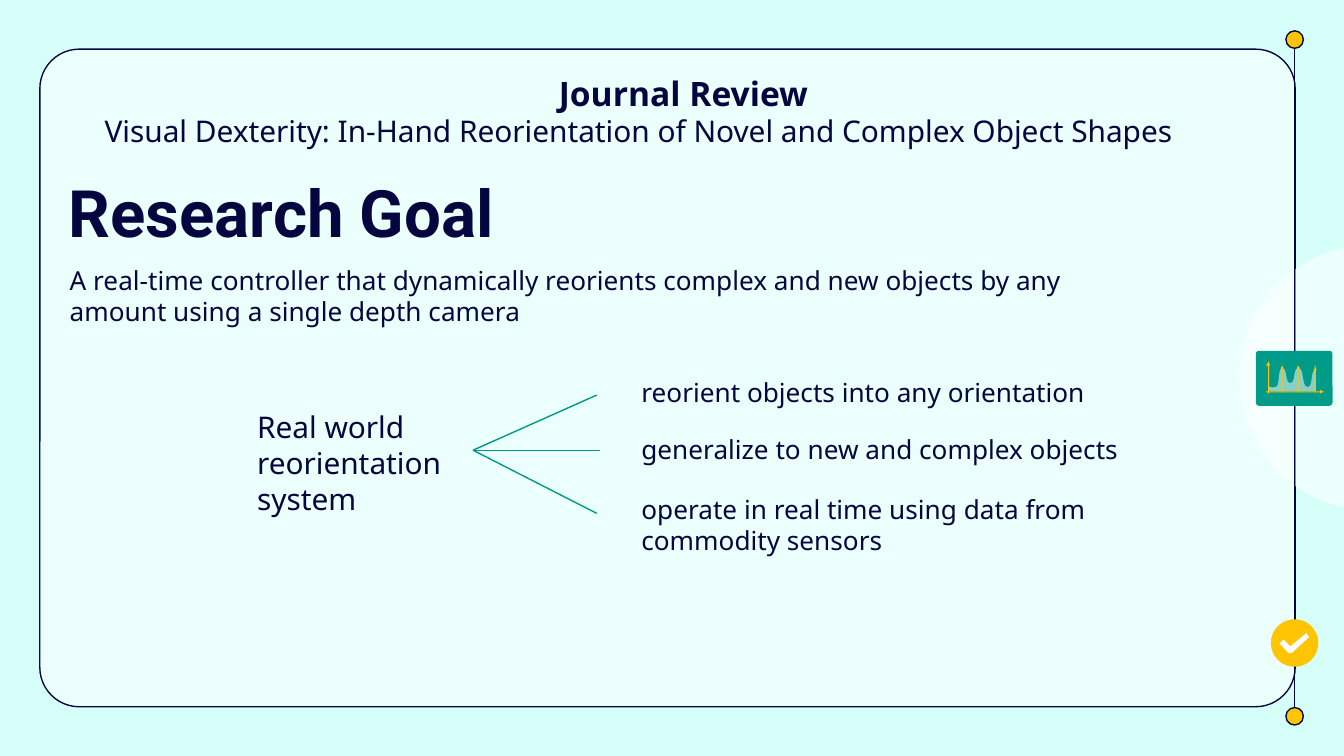
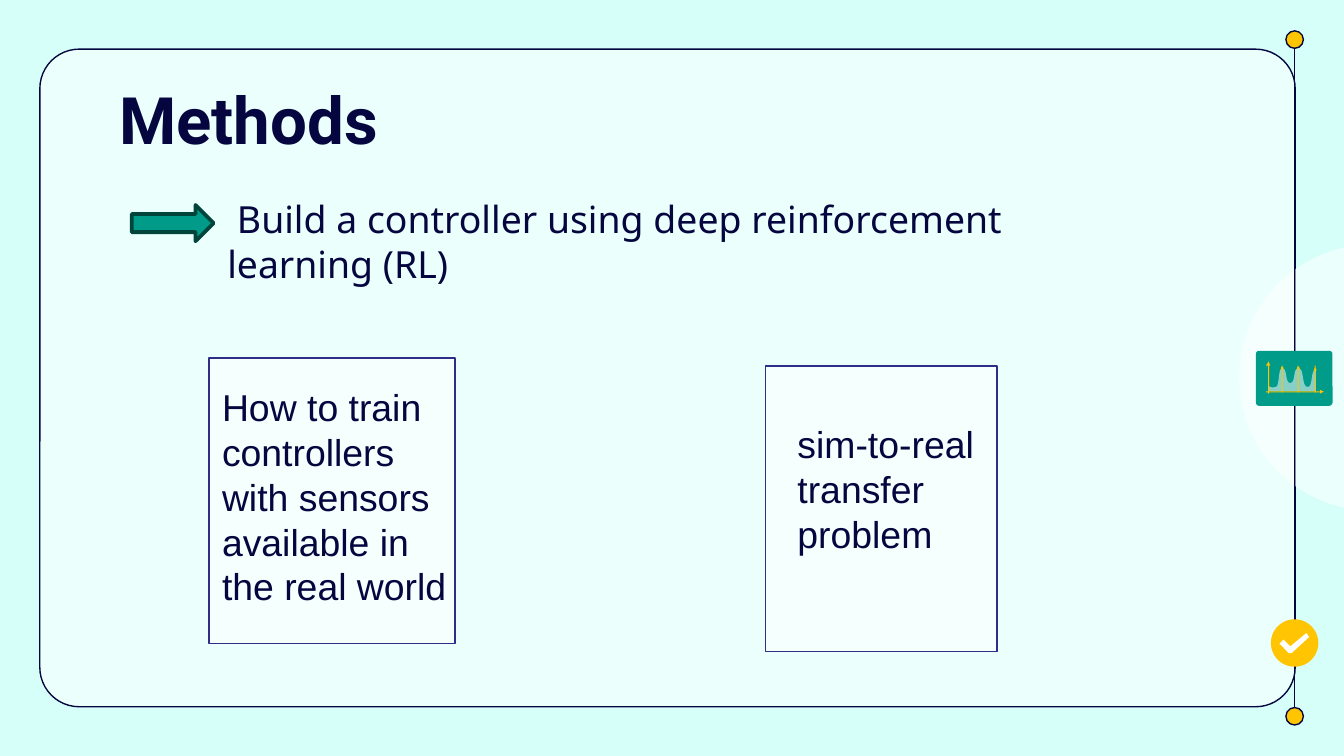
"""Builds two slides on a dexterous reorientation study, over one shared frame."""
import pptx
import pptx.dml.color
import pptx.enum.shapes
import pptx.enum.text
import pptx.oxml
import pptx.oxml.ns
import pptx.util


class Theme:
    back = "D6FFF9"
    white = "FFFFFF"
    ink = "05063F"
    gold = "FFC402"
    teal = "009B89"
    ray = "009886"
    edge = "2E2E88"
    dark = "00443C"
    clear = 53
    thin = 0.75
    thick = 2
    head = {"name": "Roboto", "size": pptx.util.Pt(35), "bold": True}
    label = {"name": "Noto Sans", "size": pptx.util.Pt(18), "bold": True}
    lead = {"name": "Noto Sans", "size": pptx.util.Pt(20)}
    text = {"name": "Noto Sans", "size": pptx.util.Pt(16)}
    small = {"name": "Noto Sans", "size": pptx.util.Pt(14)}
    plain = {"name": "Arial", "size": pptx.util.Pt(20)}


KIND = pptx.enum.shapes.MSO_SHAPE
ALIGN = pptx.enum.text.PP_ALIGN
RGB = pptx.dml.color.RGBColor.from_string
COLS, ROWS = 100, 56.25
CELL = pptx.util.Inches(0.1)


def paint(shape, fill=None, line=None, width=Theme.thin, alpha=None):
    props = shape.element.spPr
    if fill:
        shape.fill.solid()
        shape.fill.fore_color.rgb = RGB(fill)
    if alpha:
        tint = props.find(".//" + pptx.oxml.ns.qn("a:srgbClr"))
        node = pptx.oxml.parse_xml(
            f'<a:alpha {pptx.oxml.ns.nsdecls("a")} val="{alpha * 1000}"/>')
        tint.append(node)
    if line:
        shape.line.color.rgb = RGB(line)
        shape.line.width = pptx.util.Pt(width)
    else:
        shape.line.fill.background()
    props.append(pptx.oxml.parse_xml(f'<a:effectLst {pptx.oxml.ns.nsdecls("a")}/>'))


def write(slide, place, paras, inset=1):
    frame = slide.shapes.add_textbox(*[round(n * CELL) for n in place]).text_frame
    form = {"word_wrap": True, "margin_left": CELL, "margin_right": CELL,
            "margin_top": round(inset * CELL), "margin_bottom": round(inset * CELL),
            "vertical_anchor": pptx.enum.text.MSO_ANCHOR.TOP}
    for key, val in form.items():
        setattr(frame, key, val)
    for num, (words, style, align) in enumerate(paras):
        para = frame.add_paragraph() if num else frame.paragraphs[0]
        para.alignment = align
        run = para.add_run()
        run.text = words
        for key, val in style.items():
            setattr(run.font, key, val)
        run.font.color.rgb = RGB(Theme.ink)


deck = pptx.Presentation()
deck.slide_width = round(COLS * CELL)
deck.slide_height = round(ROWS * CELL)
blank = deck.slide_layouts[6]
for hold in list(blank.placeholders):
    hold.element.getparent().remove(hold.element)
blank.background.fill.solid()
blank.background.fill.fore_color.rgb = RGB(Theme.back)
goal = deck.slides.add_slide(blank)
means = deck.slides.add_slide(blank)

glass = {"fill": Theme.white, "alpha": Theme.clear}
gold = {"fill": Theme.gold}
knob = {"fill": Theme.gold, "line": Theme.ink}
rail = 96.33

frame = [
    (KIND.ROUNDED_RECTANGLE, (2.97, 3.66, 93.4, 48.93), {**glass, "line": Theme.ink}),
    (KIND.OVAL, (92.2, 18.2, 19.8, 19.8), glass),
    (KIND.OVAL, (rail - 0.65, 2.3, 1.3, 1.3), knob),
    (KIND.OVAL, (rail - 0.65, 52.65, 1.3, 1.3), knob),
]
icon = [(KIND.ROUNDED_RECTANGLE, (93.45, 26.1, 5.7, 4.1), {"fill": Theme.teal})]
marks = [
    (KIND.RECTANGLE, (94.35, 27.1, 0.08, 2.2), gold),
    (KIND.RECTANGLE, (94.2, 29.12, 4, 0.08), gold),
]
for peak, top in ((95.4, 27.3), (96.6, 27.3), (97.85, 27.4)):
    marks += [(KIND.RECTANGLE, (peak - 0.04, 27.2, 0.08, 2), gold),
              (KIND.OVAL, (peak - 0.1, top, 0.2, 0.2), gold)]
badge = [(KIND.OVAL, (rail - 1.77, 46.08, 3.53, 3.53), gold)]

bends = [((94.4, 28.7), (94.4, 28.7), (94.5, 28.9), (94.9, 28.8))]
for ends in (((94.9, 28.8), (95.4, 27.4)), ((95.4, 27.4), (96, 28.5)),
             ((96, 28.5), (96.6, 27.4)), ((96.6, 27.4), (97.3, 28.8)),
             ((97.3, 28.8), (97.9, 27.5))):
    (left, high), (right, low) = ends
    span = (right - left) * 0.7
    bends.append(((left, high), (left + span, high), (right - span, low), (right, low)))
wave = []
for bend in bends:
    for step in range(9):
        t = step / 8
        parts = ((1 - t) ** 3, 3 * t * (1 - t) ** 2, 3 * t * t * (1 - t), t ** 3)
        wave.append([sum(p * dot[axis] for p, dot in zip(parts, bend))
                     for axis in (0, 1)])
wave += [(97.9, 29.1), (94.4, 29.1)]

tips = [((94.2, 27.2), (94.4, 26.9), (94.5, 27.2)),
        ((98.2, 29), (98.5, 29.15), (98.2, 29.3))]
check = ((95.9, 48.6), (95.2, 47.9), (95.5, 47.6), (96, 48.1),
         (97.2, 47.1), (97.4, 47.4), (96.1, 48.6))

layers = [(frame, []), (icon, [(wave, glass)]),
          (marks, [(tip, gold) for tip in tips]),
          (badge, [(check, {"fill": Theme.white})])]
for solids, forms in layers:
    for kind, place, look in solids:
        item = goal.shapes.add_shape(kind, *[round(n * CELL) for n in place])
        if kind == KIND.ROUNDED_RECTANGLE:
            item.adjustments[0] = 0.06
        paint(item, **look)
    for dots, look in forms:
        start, *rest = [[round(n * CELL) for n in dot] for dot in dots]
        pen = goal.shapes.build_freeform(*start)
        pen.add_line_segments(rest)
        paint(pen.convert_to_shape(), **look)
    if solids is frame:
        pole = goal.shapes.add_connector(
            pptx.enum.shapes.MSO_CONNECTOR.STRAIGHT,
            *[round(n * CELL) for n in (rail, 3.6, rail, 52.65)])
        paint(pole, line=Theme.ink)
for item in list(goal.shapes):
    blank.shapes.element.append(item.element)

write(goal, (6.8, 4.4, 88.1, 4.5), [
    ("Journal Review", Theme.label, ALIGN.CENTER),
    ("Visual Dexterity: In-Hand Reorientation of Novel and Complex Object Shapes",
     Theme.text, ALIGN.LEFT)])
for end in ((44.4, 29.4), (44.65, 33.5), (44.4, 38.2)):
    ray = goal.shapes.add_connector(
        pptx.enum.shapes.MSO_CONNECTOR.STRAIGHT,
        *[round(n * CELL) for n in (35.2, 33.5, *end)])
    paint(ray, line=Theme.ray)

for place, words, style in (
        ((4.2, 18.65, 78.5, 7.3),
         "A real-time controller that dynamically reorients complex and new objects "
         "by any amount using a single depth camera", Theme.small),
        ((46.74, 27, 36.9, 3.7), "reorient objects into any orientation", Theme.small),
        ((46.74, 31.25, 40.1, 3.7), "generalize to new and complex objects", Theme.small),
        ((46.74, 35.72, 38.3, 6.3),
         "operate in real time using data from commodity sensors", Theme.small),
        ((18.15, 29.44, 18, 11), "Real world reorientation system", Theme.text),
        ((4.14, 11.8, 73.3, 6.2), "Research Goal", Theme.head)):
    write(goal, place, [(words, style, ALIGN.LEFT)])

pane = {**glass, "line": Theme.edge}
for kind, place, look in (
        (KIND.RECTANGLE, (56.95, 27.23, 17.25, 21.25), pane),
        (KIND.RECTANGLE, (15.55, 26.63, 18.3, 21.25), pane),
        (KIND.RIGHT_ARROW, (9.8, 15.25, 6.1, 2.7),
         {"fill": Theme.teal, "line": Theme.dark, "width": Theme.thick})):
    paint(means.shapes.add_shape(kind, *[round(n * CELL) for n in place]), **look)

write(means, (7.9, 4.9, 84.3, 6.3), [("Methods", Theme.head, ALIGN.LEFT)])
for place, words, style in (
        ((15.93, 14.1, 71, 7.7),
         " Build a controller using deep reinforcement learning (RL)", Theme.lead),
        ((15.54, 28.1, 19, 21.2),
         "How to train controllers with sensors available in the real world",
         Theme.plain),
        ((58.35, 30.84, 17.3, 11.1), "sim-to-real transfer problem", Theme.plain)):
    write(means, place, [(words, style, ALIGN.LEFT)], 0.5)

deck.save("out.pptx")
